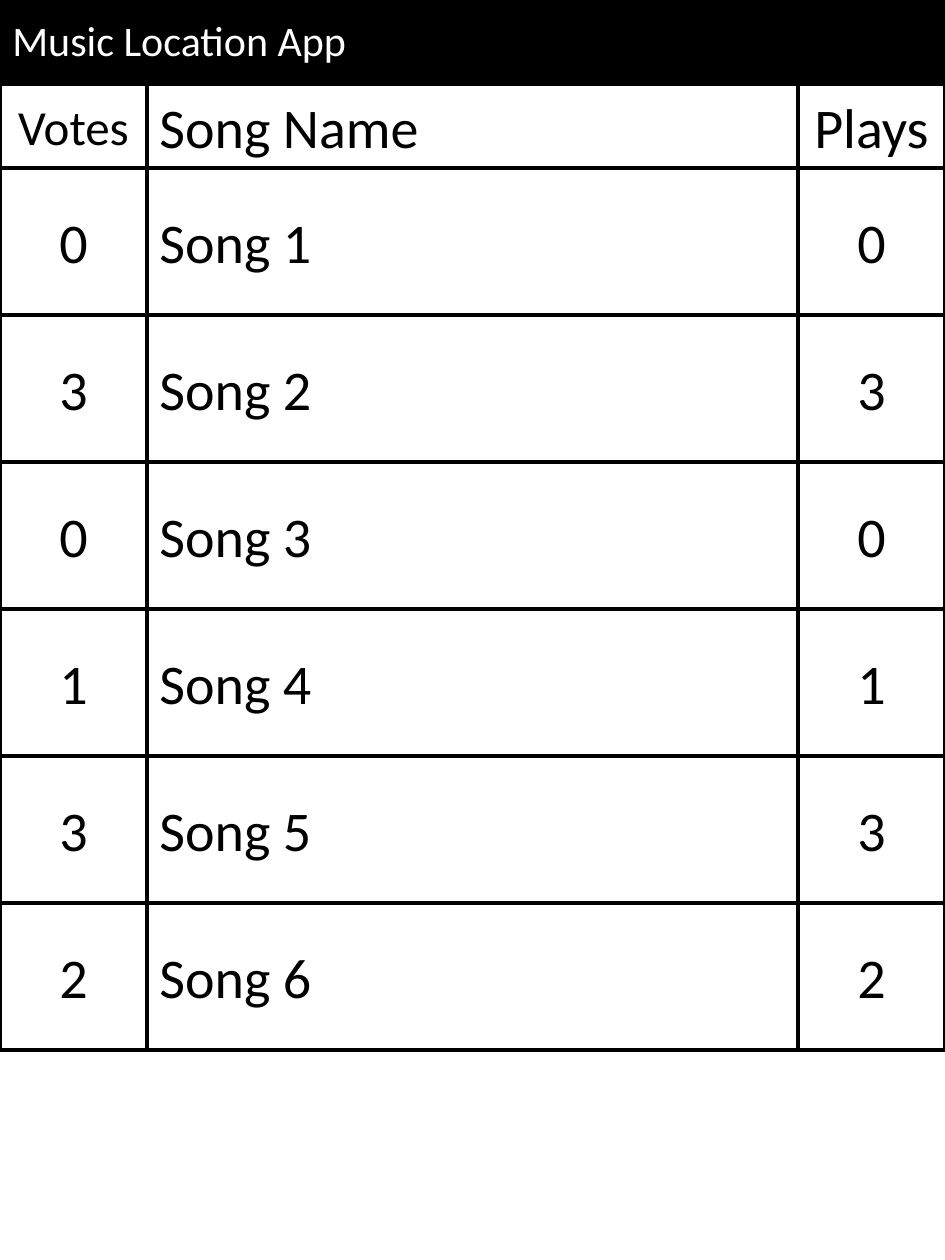
import pptx
import pptx.dml.color
import pptx.enum.shapes
import pptx.enum.text
import pptx.util
from pptx.util import Inches

BLACK = pptx.dml.color.RGBColor(0, 0, 0)
WHITE = pptx.dml.color.RGBColor(255, 255, 255)
LEFT = pptx.enum.text.PP_ALIGN.LEFT
CENTER = pptx.enum.text.PP_ALIGN.CENTER

APP_TITLE = "Music Location App"
HEADINGS = ("Votes", "Song Name", "Plays")
SONGS = [
    (0, "Song 1", 0),
    (3, "Song 2", 3),
    (0, "Song 3", 0),
    (1, "Song 4", 1),
    (3, "Song 5", 3),
    (2, "Song 6", 2),
]

PAGE_WIDTH, PAGE_HEIGHT = 7.5, 10
BAR_HEIGHT = 2 / 3
SONG_HEIGHT = 7 / 6
COUNT_WIDTH = SONG_HEIGHT
SONGS_TOP = 2 * BAR_HEIGHT


def add_box(slide, text, left, top, width, height, align, size=32, fill=None, color=BLACK):
    box = slide.shapes.add_shape(
        pptx.enum.shapes.MSO_SHAPE.RECTANGLE,
        Inches(left), Inches(top), Inches(width), Inches(height))
    box.shadow.inherit = False
    if fill is None:
        box.fill.background()
    else:
        box.fill.solid()
        box.fill.fore_color.rgb = fill
    box.line.color.rgb = BLACK
    box.line.width = pptx.util.Pt(2)
    box.text_frame.vertical_anchor = pptx.enum.text.MSO_ANCHOR.MIDDLE
    paragraph = box.text_frame.paragraphs[0]
    paragraph.text = str(text)
    paragraph.alignment = align
    paragraph.font.name = "Calibri"
    paragraph.font.size = pptx.util.Pt(size)
    paragraph.font.color.rgb = color


def add_row(slide, row, top, height, votes_size=32):
    votes, song, plays = row
    add_box(slide, song, COUNT_WIDTH, top, PAGE_WIDTH - COUNT_WIDTH, height, LEFT)
    add_box(slide, votes, 0, top, COUNT_WIDTH, height, CENTER, votes_size)
    add_box(slide, plays, PAGE_WIDTH - COUNT_WIDTH, top, COUNT_WIDTH, height, CENTER)


def main():
    deck = pptx.Presentation()
    deck.slide_width = Inches(PAGE_WIDTH)
    deck.slide_height = Inches(PAGE_HEIGHT)
    slide = deck.slides.add_slide(deck.slide_layouts[6])

    for index, song in enumerate(SONGS):
        add_row(slide, song, SONGS_TOP + index * SONG_HEIGHT, SONG_HEIGHT)
    add_box(slide, APP_TITLE, 0, -0.02, PAGE_WIDTH, BAR_HEIGHT, LEFT, 24, BLACK, WHITE)
    add_row(slide, HEADINGS, BAR_HEIGHT, BAR_HEIGHT, votes_size=28)

    deck.save("out.pptx")


if __name__ == "__main__":
    main()
